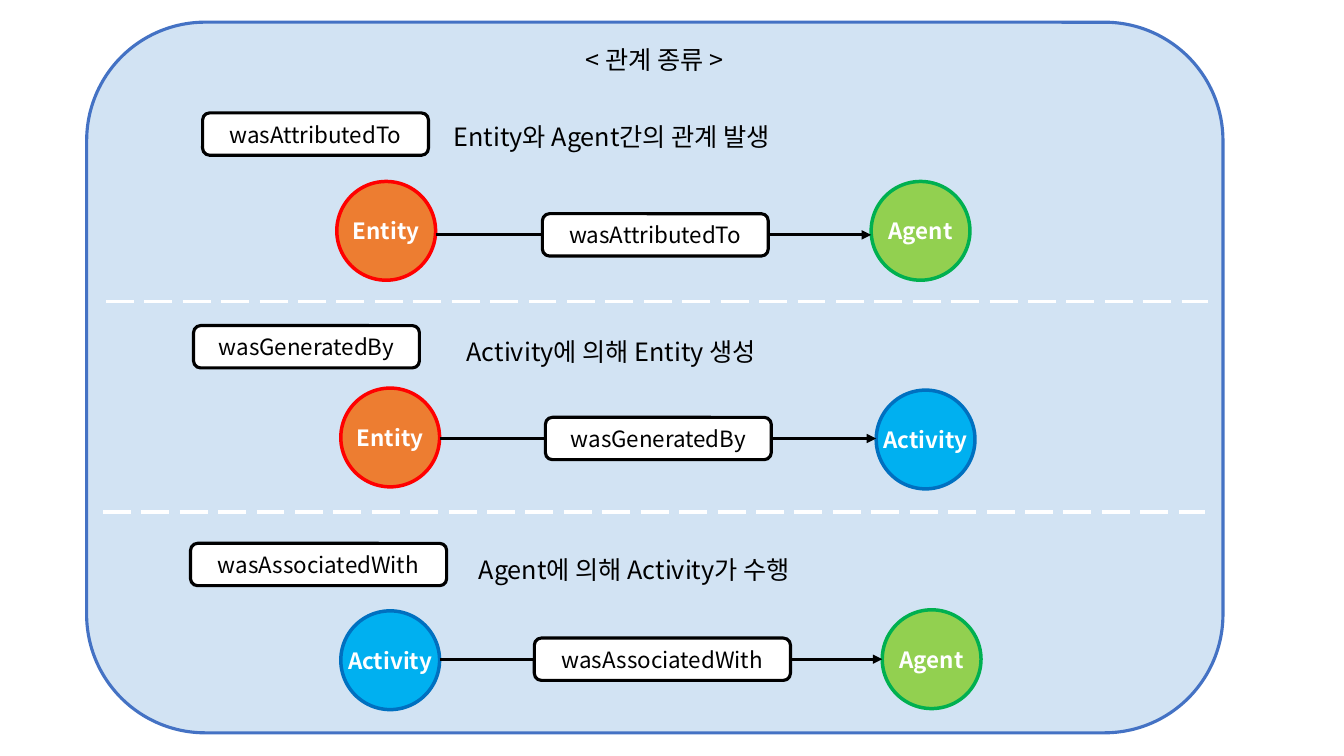
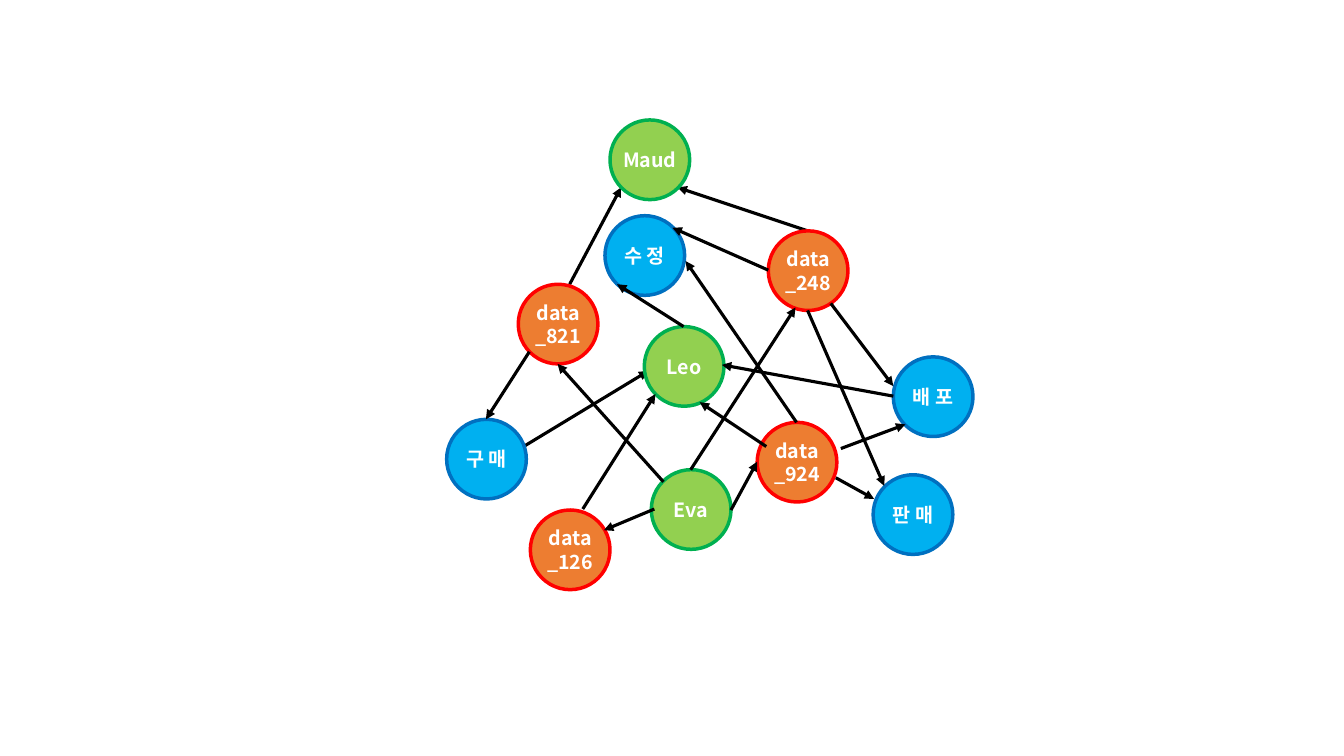
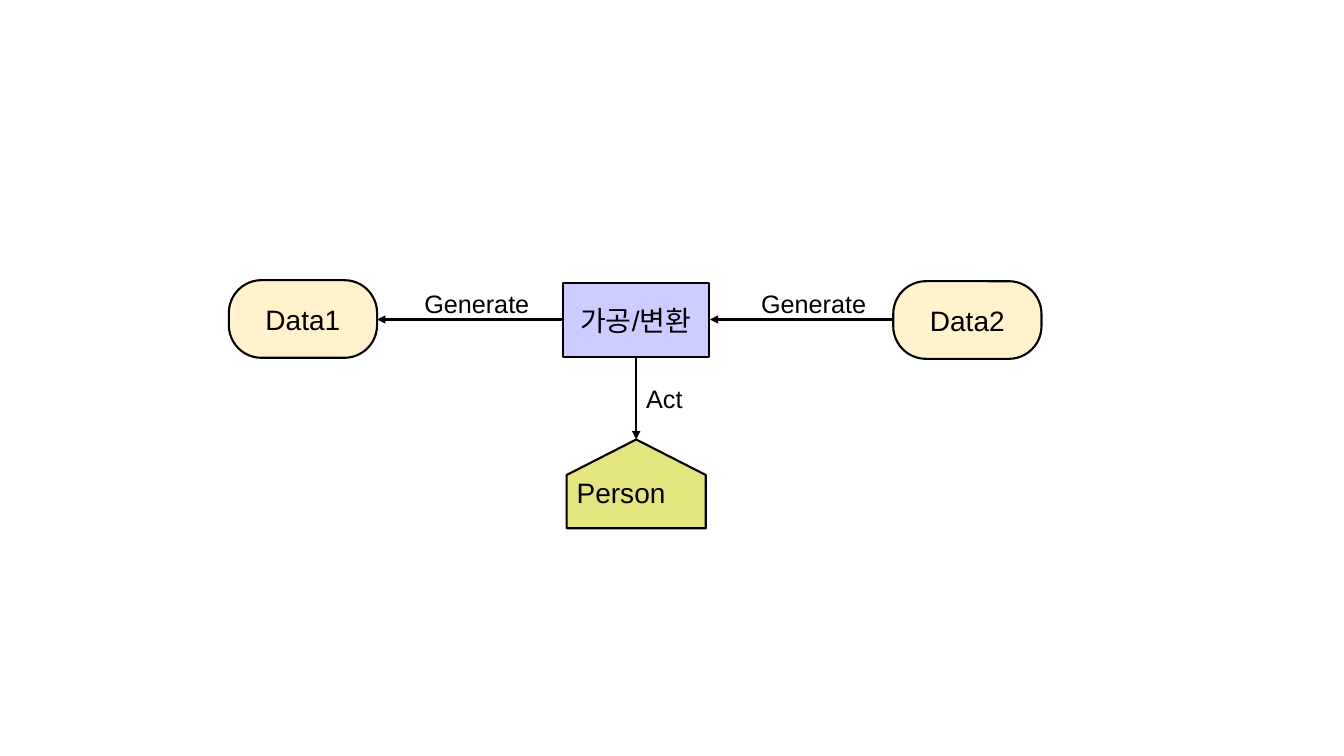
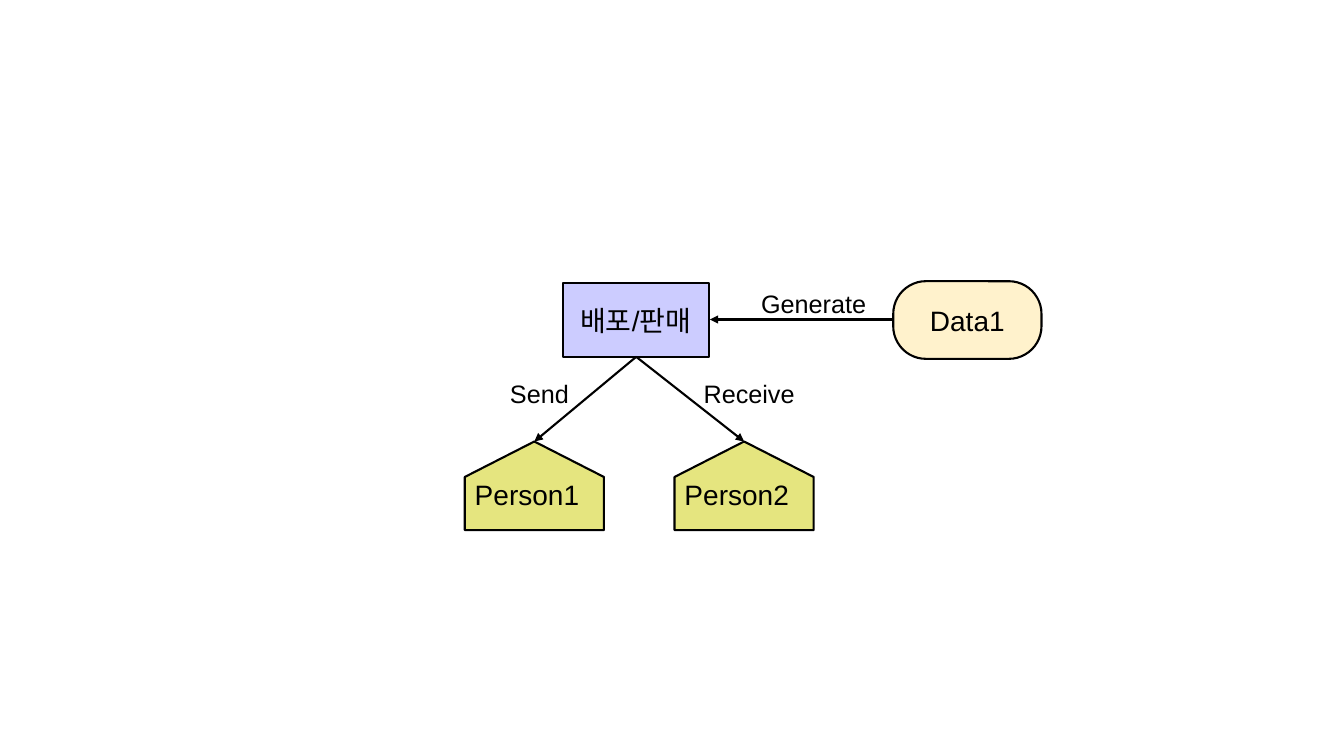
from lxml import etree
from pptx import Presentation
from pptx.dml.color import RGBColor
from pptx.enum.dml import MSO_LINE_DASH_STYLE as DASH
from pptx.enum.shapes import MSO_CONNECTOR, MSO_SHAPE as SHAPE
from pptx.enum.text import MSO_ANCHOR, MSO_AUTO_SIZE, PP_ALIGN
from pptx.oxml.ns import qn
from pptx.util import Pt

PX = 9144  # 100 px to the inch
SANS, ARIAL = "Noto Sans CJK KR", "Arial"
BLACK, WHITE = "000000", "FFFFFF"
NODES = {  # fill, line
    "entity": ("ED7D31", "FF0000"),
    "activity": ("00B0F0", "0070C0"),
    "agent": ("92D050", "00B050"),
}


def px(*lengths):
    return [n * PX for n in lengths]


def rgb(color):
    return RGBColor.from_string(color)


class Deck:
    def __init__(self):
        self.prs = Presentation()
        self.prs.slide_width, self.prs.slide_height = px(1333, 750)

    def new_slide(self):
        self.s = self.prs.slides.add_slide(self.prs.slide_layouts[6])

    def set_text(self, sp, text, size, font=SANS, color=BLACK, bold=False,
                 align=PP_ALIGN.CENTER, spacing=None, wrap=True):
        tf = sp.text_frame
        tf.text = text
        tf.word_wrap = wrap
        p = tf.paragraphs[0]
        p.alignment = align
        p.line_spacing = spacing
        r = p.runs[0]
        r.font.name, r.font.size, r.font.bold = font, Pt(size), bold
        r.font.color.rgb = rgb(color)
        east_asian = etree.SubElement(r.font._element, qn("a:ea"))
        east_asian.set("typeface", SANS)

    def shape(self, kind, x, y, w, h, fill, line, width):
        sp = self.s.shapes.add_shape(kind, *px(x, y, w, h))
        sp.shadow.inherit = False
        sp.fill.solid()
        sp.fill.fore_color.rgb = rgb(fill)
        sp.line.color.rgb = rgb(line)
        sp.line.width = Pt(width)
        sp.text_frame.vertical_anchor = MSO_ANCHOR.MIDDLE
        return sp

    def text(self, x, y, w, h, text, size=18, align=PP_ALIGN.LEFT, **style):
        sp = self.s.shapes.add_textbox(*px(x, y, w, h))
        self.set_text(sp, text, size, align=align, **style)
        sp.text_frame.auto_size = MSO_AUTO_SIZE.SHAPE_TO_FIT_TEXT

    def line(self, x1, y1, x2, y2, color=BLACK, width=2.25, dash=None, arrow=False):
        cn = self.s.shapes.add_connector(MSO_CONNECTOR.STRAIGHT, *px(x1, y1, x2, y2))
        cn.line.color.rgb = rgb(color)
        cn.line.width = Pt(width)
        if dash:
            cn.line.dash_style = dash
        properties = cn._element.spPr
        if arrow:
            ln = properties.find(qn("a:ln"))
            etree.SubElement(ln, qn("a:tailEnd")).set("type", "triangle")
        etree.SubElement(properties, qn("a:effectLst"))

    def arrow(self, x1, y1, x2, y2, width=2.25):
        self.line(x1, y1, x2, y2, width=width, arrow=True)

    def panel(self, x, y, w, h):
        """Large translucent rounded background."""
        sp = self.shape(SHAPE.ROUNDED_RECTANGLE, x, y, w, h, "5B9BD5", "4472C4", 2.25)
        color = sp._element.spPr.find(qn("a:solidFill"))[0]
        etree.SubElement(color, qn("a:alpha")).set("val", "27000")

    def pill(self, x, y, w, text):
        """White box naming a relation."""
        sp = self.shape(SHAPE.ROUNDED_RECTANGLE, x, y, w, 42, WHITE, BLACK, 2.25)
        self.set_text(sp, text, 16)

    def node(self, kind, x, y, size, text, font_size):
        """Circle for an entity, activity or agent."""
        sp = self.shape(SHAPE.OVAL, x, y, size, size, *NODES[kind], 2.5)
        tf = sp.text_frame
        tf.margin_left = tf.margin_right = 4 * PX
        tf.margin_top = tf.margin_bottom = 0
        self.set_text(sp, text, font_size, color=WHITE, bold=True, wrap="_" in text)

    def data(self, x, y, text):
        sp = self.shape(SHAPE.ROUNDED_RECTANGLE, x, y, 147, 77, "FFF2CC", BLACK, 1.5)
        sp.adjustments[0] = 0.42
        self.set_text(sp, text, 20, ARIAL)

    def process(self, x, y, text):
        sp = self.shape(SHAPE.RECTANGLE, x, y, 145, 73, "CCCCFF", BLACK, 1.5)
        self.set_text(sp, text, 20, ARIAL)

    def person(self, x, y, text):
        """Pentagon turned to point upwards, with upright text."""
        sp = self.shape(SHAPE.PENTAGON, x, y, 88, 138, "E5E57F", BLACK, 1.5)
        sp.adjustments[0] = 0.4
        sp.rotation = 270
        self.set_text(sp, text, 20, ARIAL)
        sp.text_frame._txBody.bodyPr.set("vert", "eaVert")

    def label(self, x, y, w, text):
        self.text(x, y, w, 40, text, font=ARIAL)


def relation_types(deck):
    deck.new_slide()
    deck.panel(86, 22, 1127, 705)
    deck.text(552, 39, 194, 40, "< 관계 종류 >", align=PP_ALIGN.CENTER)
    for x, y in [(105, 299), (102, 508)]:
        deck.line(x, y, x + 1093, y, WHITE, 2.5, DASH.LONG_DASH)

    # name, width, badge, description and its place, source, link, target
    rows = [
        ("wasAttributedTo", 224, (201, 112), "Entity와 Agent간의 관계 발생", (440, 100),
         ("Entity", 334, 180), (538, 212), ("Agent", 864, 180)),
        ("wasGeneratedBy", 224, (192, 323), "Activity에 의해 Entity 생성", (453, 314),
         ("Entity", 338, 385), (541, 414), ("Activity", 869, 387)),
        ("wasAssociatedWith", 254, (189, 539), "Agent에 의해 Activity가 수행", (465, 530),
         ("Activity", 338, 606), (530, 633), ("Agent", 875, 605)),
    ]
    size = 98
    for name, width, badge, description, place, source, link, target in rows:
        deck.pill(*badge, width, name)
        deck.text(*place, 498, 51, description, spacing=1.5)
        for text, x, y in (source, target):
            deck.node(text.lower(), x, y, size, text, 16)
        x, y = link
        deck.pill(x, y, width, name)
        middle = y + 21
        deck.line(source[1] + size, middle, x, middle)
        deck.arrow(x + width, middle, target[1], middle)


def provenance_graph(deck):
    deck.new_slide()
    arrows_behind = [(565, 282, 616, 186), (801, 229, 672, 186), (521, 442, 643, 368)]
    nodes = [
        ("agent", 605, 119, "Maud"), ("agent", 639, 324, "Leo"),
        ("agent", 646, 466, "Eva"),
        ("entity", 751, 419, "data_924"), ("entity", 526, 506, "data_126"),
        ("entity", 514, 282, "data_821"), ("entity", 762, 229, "data_248"),
        ("activity", 443, 416, "구 매"), ("activity", 886, 354, "배 포"),
        ("activity", 866, 471, "판 매"), ("activity", 600, 214, "수 정"),
    ]
    arrows_in_front = [
        (886, 393, 716, 362), (649, 505, 599, 526), (829, 474, 867, 495),
        (760, 443, 694, 399), (578, 505, 650, 391), (678, 324, 612, 282),
        (824, 301, 886, 383), (834, 445, 898, 421), (725, 506, 751, 458),
        (658, 478, 553, 361), (790, 419, 680, 259), (762, 268, 667, 226),
        (525, 349, 482, 416), (801, 308, 877, 482), (685, 466, 789, 305),
    ]
    for ends in arrows_behind:
        deck.arrow(*ends)
    for kind, x, y, text in nodes:
        deck.node(kind, x, y, 79, text, 14)
    for ends in arrows_in_front:
        deck.arrow(*ends)


def process_slide(deck, process, data):
    """Start a slide with a process box fed by data on its right."""
    deck.new_slide()
    deck.process(558, 281, process)
    deck.data(886, 279, data)
    deck.arrow(886, 317, 704, 317, 1.5)
    deck.label(745, 281, 184, "Generate")


def transformation(deck):
    process_slide(deck, "가공/변환", "Data2")
    deck.data(227, 278, "Data1")
    deck.arrow(557, 317, 374, 317, 1.5)
    deck.label(411, 281, 184, "Generate")
    deck.person(587, 411, "Person")
    deck.arrow(631, 354, 631, 436, 1.5)
    deck.label(631, 375, 302, "Act")


def distribution(deck):
    process_slide(deck, "배포/판매", "Data1")
    for x, person, label_x, label_w, label in [
        (486, "Person1", 496, 84, "Send"),
        (694, "Person2", 688, 302, "Receive"),
    ]:
        deck.person(x, 413, person)
        deck.arrow(631, 354, x + 44, 438, 1.5)
        deck.label(label_x, 370, label_w, label)


def main():
    deck = Deck()
    for build in (relation_types, provenance_graph, transformation, distribution):
        build(deck)
    deck.prs.save("out.pptx")


if __name__ == "__main__":
    main()
